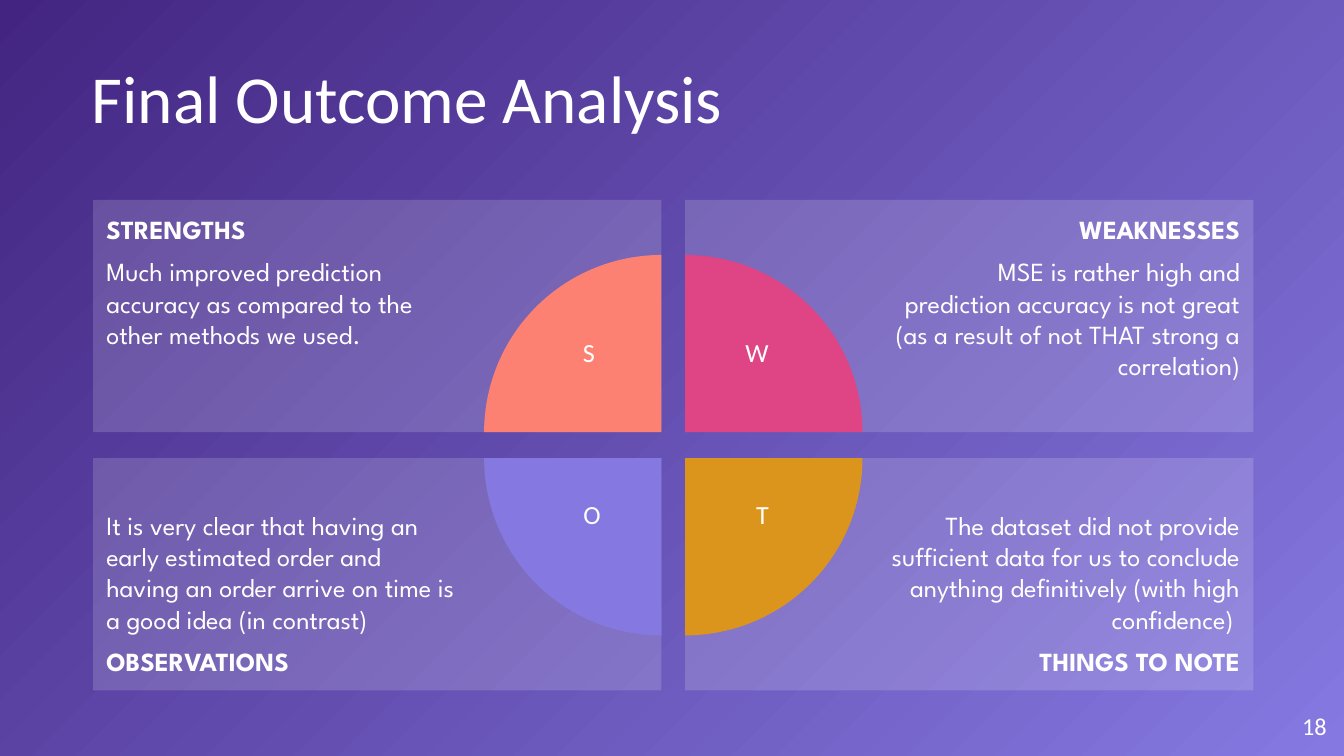
from lxml import etree
from pptx import Presentation
from pptx.dml.color import RGBColor
from pptx.enum.shapes import MSO_SHAPE
from pptx.enum.text import MSO_ANCHOR, PP_ALIGN
from pptx.oxml import parse_xml
from pptx.oxml.ns import nsdecls, qn
from pptx.util import Cm, Pt

RECT, PIE = MSO_SHAPE.RECTANGLE, MSO_SHAPE.PIE
TOP, MIDDLE, BOTTOM = MSO_ANCHOR.TOP, MSO_ANCHOR.MIDDLE, MSO_ANCHOR.BOTTOM
LEFT, CENTER, RIGHT = PP_ALIGN.LEFT, PP_ALIGN.CENTER, PP_ALIGN.RIGHT

COLORS = {"white": "FFFFFF", "light": "8579E1", "dark": "432581",
          "S": "FC8172", "W": "DF4584", "O": "8579E1", "T": "DB951D"}


def style(para, size, align=LEFT, face="Calibri", bold=False):
    para.alignment = align
    for run in para.runs:
        font = run.font
        font.size, font.name, font.bold = Pt(size), face, bold
        font.color.rgb = RGBColor.from_string(COLORS["white"])


def add_block(kind, left, top, width, height, color):
    """Add a flat shape without outline or shadow."""
    shape = slide.shapes.add_shape(kind, Cm(left), Cm(top), Cm(width), Cm(height))
    shape.shadow.inherit = False
    shape.fill.solid()
    shape.fill.fore_color.rgb = RGBColor.from_string(COLORS[color])
    shape.line.fill.background()
    return shape


prs = Presentation()
prs.slide_width, prs.slide_height = Cm(25.4), Cm(14.29)
slide = prs.slides.add_slide(prs.slide_layouts[5])

# Background glow from the bottom right corner
fill = slide.background.fill
fill.gradient()
for stop, name in zip(fill.gradient_stops, ("light", "dark")):
    stop.color.rgb = RGBColor.from_string(COLORS[name])
grad = slide.element.find(".//" + qn("a:gradFill"))
grad.remove(grad.find(qn("a:lin")))
glow = etree.SubElement(grad, qn("a:path"), path="circle")
etree.SubElement(glow, qn("a:fillToRect"), l="100000", t="100000")
etree.SubElement(grad, qn("a:tileRect"), r="-100000", b="-100000")

# Title with a soft text shadow
title = slide.shapes.title
title.left, title.top, title.width, title.height = Cm(1.73), Cm(1.04), Cm(21.95), Cm(1.57)
frame = title.text_frame
frame.text = "Final Outcome Analysis"
frame.vertical_anchor = BOTTOM
frame.margin_left = frame.margin_right = frame.margin_top = frame.margin_bottom = 0
para = frame.paragraphs[0]
para.line_spacing = 0.9
style(para, 36)
para.runs[0].font._element.find(qn("a:solidFill")).addnext(parse_xml(
    f'<a:effectLst {nsdecls("a")}><a:outerShdw blurRad="38100" dist="38100" dir="2700000">'
    '<a:srgbClr val="000000"><a:alpha val="43000"/></a:srgbClr></a:outerShdw></a:effectLst>'))

# Four cards, each with a quarter pie at its inner corner
COLS, ROWS = (1.76, 12.95), (3.78, 8.66)
WIDE, HIGH, DISC = 10.74, 4.39, 6.7
# letter, column, row, pie turn, letter centre, heading, text
cards = [
    ("S", 0, 0, 0, 11.13, "STRENGTHS",
     "Much improved prediction accuracy as compared to the other methods we used."),
    ("W", 1, 0, 90, 14.31, "WEAKNESSES",
     "MSE is rather high and prediction accuracy is not great "
     "(as a result of not THAT strong a correlation)"),
    ("O", 0, 1, 270, 11.19, "OBSERVATIONS",
     "It is very clear that having an early estimated order and "
     "having an order arrive on time is a good idea (in contrast)"),
    ("T", 1, 1, 180, 14.41, "THINGS TO NOTE",
     "The dataset did not provide sufficient data for us to conclude "
     "anything definitively (with high confidence) "),
]
for letter, col, row, turn, mid, head, text in cards:
    left, top = COLS[col], ROWS[row]
    card = add_block(RECT, left, top, WIDE, HIGH, "white")
    tint = card.fill._xPr.find(".//" + qn("a:srgbClr"))
    etree.SubElement(tint, qn("a:alpha"), val="16000")
    frame = card.text_frame
    frame.word_wrap = True
    frame.vertical_anchor = BOTTOM if row else TOP
    frame.margin_left, frame.margin_right = (Cm(3.81), Cm(0.25)) if col else (Cm(0.25), Cm(3.81))
    frame.margin_top = frame.margin_bottom = Cm(0.25)
    lines = [text, head] if row else [head, text]
    frame.text = "\n".join(lines)
    for para, line in zip(frame.paragraphs, lines):
        style(para, 14, RIGHT if col else LEFT, "League Spartan", line == head)
    para.space_before = para.space_after = Pt(6)

    x, y = left + WIDE * (1 - col), top + HIGH * (1 - row)
    pie = add_block(PIE, x - DISC / 2, y - DISC / 2, DISC, DISC, letter)
    pie.adjustments[0], pie.adjustments[1] = 108, 162
    pie.rotation = turn

    box = slide.shapes.add_textbox(Cm(mid - 0.8), Cm((6.23, 9.3)[row]), Cm(1.6), Cm(1.28))
    box.text_frame.word_wrap = True
    box.text_frame.text = letter
    style(box.text_frame.paragraphs[0], 14, CENTER)

# Page number
box = slide.shapes.add_textbox(Cm(23.55), Cm(13.18), Cm(1.52), Cm(1.09))
frame = box.text_frame
frame.word_wrap = True
frame.text = "18"
frame.vertical_anchor = MIDDLE
frame.margin_left = frame.margin_right = frame.margin_top = frame.margin_bottom = 0
style(frame.paragraphs[0], 13, RIGHT)

prs.save("out.pptx")
